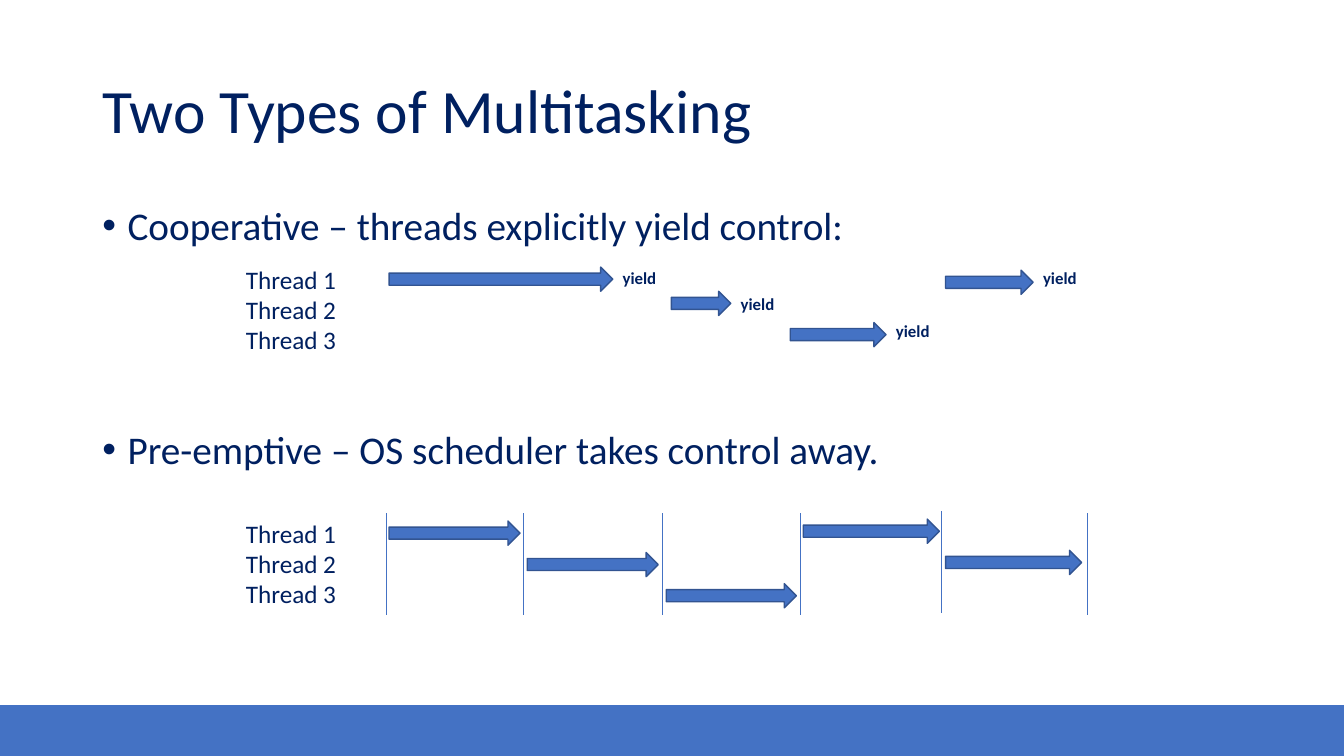
from lxml import etree
from pptx import Presentation
from pptx.dml.color import RGBColor
from pptx.enum import shapes, text
from pptx.oxml import ns
from pptx.util import Pt

COLOURS = {"navy": "002060", "blue": "4472C4", "outline": "325491"}
FONT = "Calibri"
ARROW_HEIGHT = 17.3


def add_filled(parent, kind, left, top, width, height, outline):
    shape = parent.shapes.add_shape(kind, Pt(left), Pt(top), Pt(width), Pt(height))
    shape.shadow.inherit = False
    shape.fill.solid()
    shape.fill.fore_color.rgb = RGBColor.from_string(COLOURS["blue"])
    shape.line.color.rgb = RGBColor.from_string(COLOURS[outline])
    shape.line.width = Pt(1)


def write_text(shape, lines, size, bold=False):
    shape.text_frame.text = "\n".join(lines)
    for paragraph in shape.text_frame.paragraphs:
        paragraph.font.name = FONT
        paragraph.font.size = Pt(size)
        paragraph.font.bold = bold
        paragraph.font.color.rgb = RGBColor.from_string(COLOURS["navy"])


presentation = Presentation()
presentation.slide_width = Pt(960)
presentation.slide_height = Pt(540)
slide = presentation.slides.add_slide(presentation.slide_layouts[1])
add_filled(slide, shapes.MSO_SHAPE.RECTANGLE, 0, 504, 960, 36, "blue")

title = slide.shapes.title
title.left, title.top, title.width, title.height = Pt(66), Pt(28.75), Pt(828), Pt(104.4)
write_text(title, ["Two Types of Multitasking"], 44)
title.text_frame.vertical_anchor = text.MSO_ANCHOR.MIDDLE
title.text_frame.auto_size = text.MSO_AUTO_SIZE.NONE
title.text_frame.paragraphs[0].alignment = text.PP_ALIGN.LEFT
title.text_frame.paragraphs[0].line_spacing = 0.9

body = slide.placeholders[1]
body.left, body.top, body.width, body.height = Pt(66), Pt(143.75), Pt(828), Pt(342.6)
write_text(body, ["Cooperative – threads explicitly yield control:",
                  "Pre-emptive – OS scheduler takes control away."], 28)
body.text_frame.auto_size = text.MSO_AUTO_SIZE.NONE
for paragraph, space in zip(body.text_frame.paragraphs, (10, 130)):
    paragraph.line_spacing = 0.9
    paragraph.space_before = Pt(space)
    properties = paragraph._p.get_or_add_pPr()
    properties.set("marL", str(Pt(18)))
    properties.set("indent", str(Pt(-18)))

cooperative = slide.shapes.add_group_shape()
preemptive = slide.shapes.add_group_shape()
for group, top in ((cooperative, 185), (preemptive, 366.5)):
    threads = group.shapes.add_textbox(Pt(168.5), Pt(top), Pt(646.6), Pt(72.7))
    threads.text_frame.word_wrap = True
    threads.text_frame.auto_size = text.MSO_AUTO_SIZE.SHAPE_TO_FIT_TEXT
    write_text(threads, [f"Thread {number}" for number in (1, 2, 3)], 18)

turns = [(277.9, 190.8, 159.8, 187.9), (479.5, 208.1, 42.5, 205.9),
         (564.5, 230.4, 68.4, 225.4), (675.4, 193, 62.6, 187.9)]
for left, top, width, label_top in turns:
    add_filled(cooperative, shapes.MSO_SHAPE.RIGHT_ARROW,
               left, top, width, ARROW_HEIGHT, "outline")
    label = cooperative.shapes.add_textbox(
        Pt(left + width), Pt(label_top), Pt(38.9), Pt(21.8))
    label.text_frame.word_wrap = False
    label.text_frame.auto_size = text.MSO_AUTO_SIZE.SHAPE_TO_FIT_TEXT
    write_text(label, ["yield"], 12, bold=True)

switches = [(275.8, 366.5), (373.7, 366.5), (473, 366.5),
            (571.7, 366.5), (672.5, 365), (776.9, 366.5)]
for left, top in switches:
    switch = preemptive.shapes.add_connector(
        shapes.MSO_CONNECTOR.STRAIGHT, Pt(left), Pt(top), Pt(left), Pt(top + 72.7))
    switch.line.color.rgb = RGBColor.from_string(COLOURS["blue"])
    switch.line.width = Pt(0.5)
    etree.SubElement(switch._element.spPr, ns.qn("a:effectLst"))

slices = [(277.9, 372.2, 93.6), (376.6, 394.6, 93.6), (475.9, 416.9, 92.9),
          (573.8, 370.8, 97.2), (675.4, 393.1, 97.2)]
for left, top, width in slices:
    add_filled(preemptive, shapes.MSO_SHAPE.RIGHT_ARROW,
               left, top, width, ARROW_HEIGHT, "outline")

presentation.save("out.pptx")
